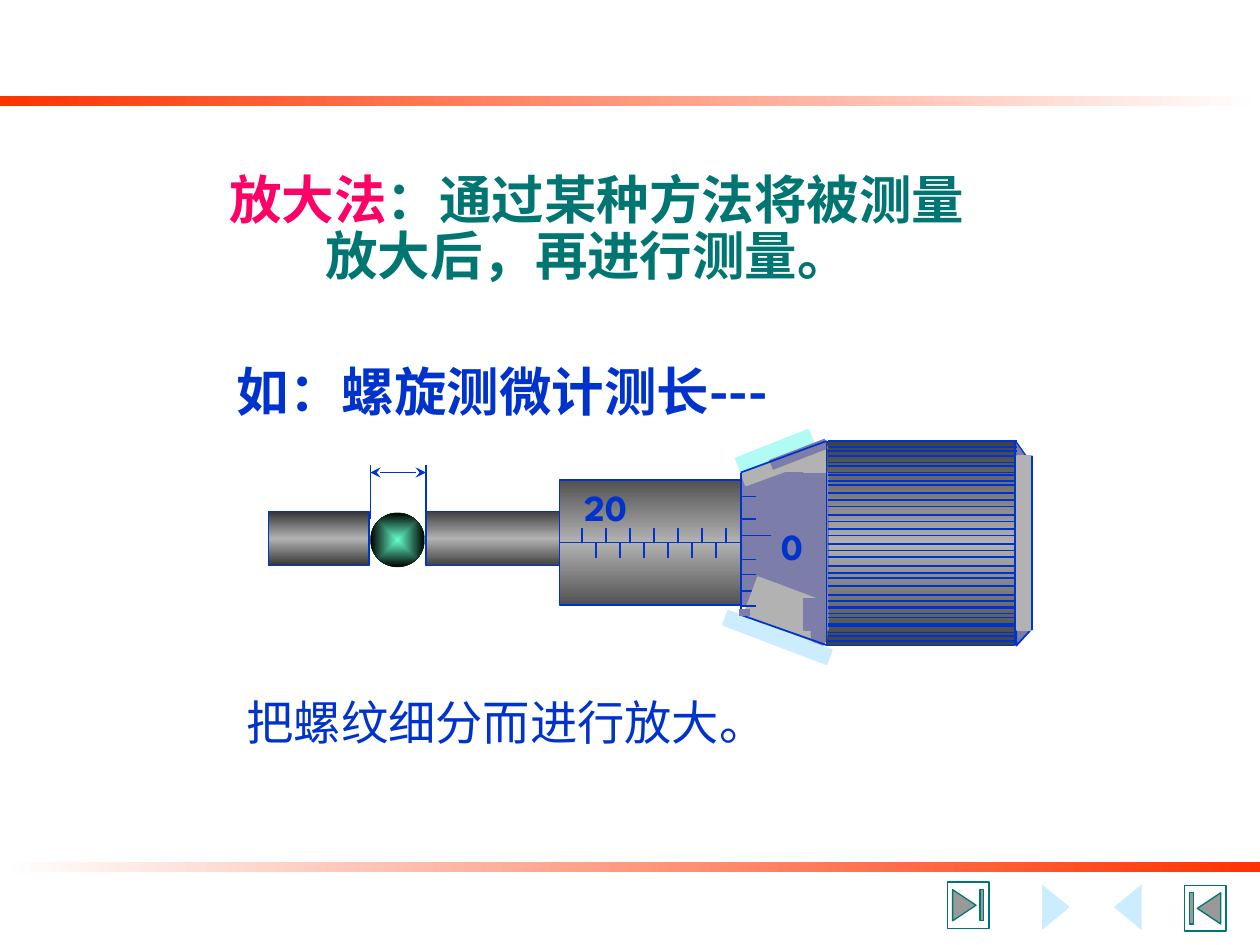
from lxml import etree
from pptx import Presentation
from pptx import util as u
from pptx.dml.color import RGBColor
from pptx.enum import shapes, text
from pptx.oxml import ns

S = shapes.MSO_SHAPE
BLUE = RGBColor(0x00, 0x33, 0xCC)
TEAL = RGBColor(0x00, 0x75, 0x72)
PINK = RGBColor(0xFF, 0x00, 0x66)
RED = RGBColor(0xFF, 0x33, 0x00)
WHITE = RGBColor(0xFF, 0xFF, 0xFF)
BLACK = RGBColor(0x00, 0x00, 0x00)
SKY = RGBColor(0xCC, 0xEC, 0xFF)
AQUA = RGBColor(0xB0, 0xFC, 0xF5)
MINT = RGBColor(0x66, 0xFF, 0xCC)
DEEP_GREEN = RGBColor(0x00, 0x33, 0x00)
GREY = RGBColor(0xB2, 0xB2, 0xB2)
VIOLET = RGBColor(0x7D, 0x7D, 0xA9)
CJK, SPARTAN, DEJAVU = "Noto Sans CJK SC", "League Spartan", "DejaVu Sans"


def steel(shade):
    """Vertical metal sheen: dark edges around a light middle."""
    dark = RGBColor(shade, shade, shade)
    return 90, [(0, dark), (50, GREY), (100, dark)]


# Shapes: kind, left, top, width, height, fill, line colour, line points, rotation
FRAME = [
    (S.ISOSCELES_TRIANGLE, 8.2, 7.09, 0.36, 0.22, SKY, None, 0, 90),
    (S.ISOSCELES_TRIANGLE, 8.77, 7.09, 0.36, 0.22, SKY, None, 0, 270),
    (S.RECTANGLE, 0, 0.76, 10, 0.08, (0, [(0, RED), (100, WHITE)]), None, 0, 0),
    (S.RECTANGLE, 0, 6.84, 10, 0.08, (0, [(0, WHITE), (100, RED)]), None, 0, 0),
    (S.ACTION_BUTTON_END, 7.52, 7, 0.33, 0.37, WHITE, TEAL, 0.75, 0),
    (S.ACTION_BUTTON_BEGINNING, 9.4, 7.03, 0.33, 0.36, WHITE, TEAL, 0.75, 0),
]
BODY = [
    (S.RIGHT_TRIANGLE, 8.06, 3.5, 0.12, 0.17, VIOLET, BLUE, 0.75, 0),
    (S.RECTANGLE, 6.56, 3.5, 1.49, 1.62, steel(0x40), BLUE, 0.25, 0),
    (S.RECTANGLE, 3.38, 4.06, 1.11, 0.43, steel(0x40), BLUE, 1, 0),
    (S.RECTANGLE, 5.88, 3.75, 0.69, 1.06, VIOLET, VIOLET, 1, 0),
]
BARREL = (S.RECTANGLE, 4.44, 3.81, 1.44, 0.99, steel(0x52), BLUE, 1, 0)
BALL_ANVIL_AND_CONE = [
    (S.OVAL, 2.94, 4.07, 0.43, 0.43, (None, [(0, MINT), (100, BLACK)]), DEEP_GREEN, 0.25, 0),
    (S.RECTANGLE, 2.13, 4.06, 0.8, 0.43, steel(0x35), BLUE, 0.75, 0),
    (S.RECTANGLE, 6.38, 3.57, 0.18, 0.18, GREY, GREY, 1, 0),
    (S.RECTANGLE, 6.13, 3.63, 0.24, 0.11, GREY, GREY, 1, 0),
    (S.RECTANGLE, 5.88, 3.63, 0.68, 0.11, GREY, GREY, 1, 340),
    (S.RECTANGLE, 5.94, 4.67, 0.57, 0.33, GREY, GREY, 1, 20.5),
    (S.RECTANGLE, 6.38, 4.75, 0.19, 0.25, VIOLET, VIOLET, 1, 0),
    (S.OVAL, 6.44, 4.94, 0.12, 0.19, VIOLET, VIOLET, 1, 0),
    (S.RIGHT_TRIANGLE, 8.06, 5, 0.13, 0.12, VIOLET, BLUE, 1, 90),
]
CAP_AND_STRIPS = [
    (S.RECTANGLE, 8.07, 3.62, 0.12, 1.38, GREY, GREY, 1, 0),
    (S.RECTANGLE, 5.84, 3.52, 0.62, 0.12, AQUA, AQUA, 1, 338.4),
    (S.RECTANGLE, 5.73, 5, 0.88, 0.12, SKY, SKY, 1, 20.8),
]

# Lines: x1, y1, x2, y2, colour, points
SCALE_Y, TICK, TICK_STEP = 4.31, 0.12, 0.19
UPPER_TICKS, LOWER_TICKS = (4.62, 7), (4.73, 6)
THIMBLE_TICKS = [(4.25, 0.24), (4.12, 0.12), (3.94, 0.12),
                 (4.44, 0.12), (4.56, 0.12), (4.69, 0.12)]
KNURLS = [3.5, 3.55, 3.58, 3.62, 3.67, 3.7, 3.75, 3.77, 3.82, 3.85, 3.91, 3.97,
          4.02, 4.09, 4.14, 4.2, 4.25, 4.32, 4.37, 4.42, 4.49, 4.55, 4.59, 4.65,
          4.72, 4.77, 4.82, 4.83, 4.87, 4.9, 4.95, 4.97, 5.02, 5.05, 5.09]
GAUGE_LINES = [
    (5.88, 3.81, 5.88, 4.88, BLUE, 1),
    (2.94, 4.12, 2.94, 3.69, BLUE, 1),
    (3.38, 4.06, 3.38, 3.69, BLUE, 1),
]
OUTLINES = [
    (8.06, 3.5, 8.06, 5.12, BLUE, 0.75),
    (8.19, 3.62, 8.19, 5, BLUE, 1.5),
    (5.88, 3.75, 5.88, 3.81, BLUE, 1),
    (5.88, 4.88, 6.56, 5.12, BLUE, 1),
    (5.88, 4.81, 6, 4.81, BLUE, 1),
    (5.91, 4.83, 5.91, 4.89, VIOLET, 6),
    (6.12, 3.69, 6.56, 3.52, VIOLET, 6),
    (5.88, 3.75, 6.56, 3.5, BLUE, 1),
    (6.56, 3.5, 6.56, 5.12, BLUE, 1),
]

# Texts: box, margins, font, size, bold, anchor, line spacing, paragraphs (indent, runs)
TOP, BOTTOM = text.MSO_ANCHOR.TOP, text.MSO_ANCHOR.BOTTOM
TEXTS = [
    ((1.75, 1.38, 6.69, 0.94), (0.07, 0.04), CJK, 30, True, BOTTOM, 0.9, [
        (0, [("放大法", PINK), ("：通过某种方法将被测量", TEAL)]),
        (0.76, [("放大后，再进行测量。", TEAL)])]),
    ((1.81, 2.81, 6.38, 0.62), (0.07, 0.04), CJK, 30, True, TOP, 1, [
        (0, [("如：螺旋测微计测长---", BLUE)])]),
    ((4.56, 3.81, 0.62, 0.43), (0.08, 0.04), SPARTAN, 21, True, TOP, 1, [(0, [("20", BLUE)])]),
    ((6.12, 4.12, 0.31, 0.43), (0.08, 0.04), SPARTAN, 21, True, TOP, 1, [(0, [("0", BLUE)])]),
    ((1.86, 5.45, 5.75, 0.55), (0.1, 0.05), DEJAVU, 27, False, TOP, 1, [
        (0, [("把螺纹细分而进行放大。", BLUE)])]),
]


def add_gradient(shape, angle, stops):
    """Linear gradient, or one from the centre when angle is None."""
    shape.fill.gradient()
    gradient = shape.fill._xPr.find(ns.qn("a:gradFill"))
    for child in list(gradient):
        gradient.remove(child)
    stop_list = etree.SubElement(gradient, ns.qn("a:gsLst"))
    for position, color in stops:
        stop = etree.SubElement(stop_list, ns.qn("a:gs"), pos=str(position * 1000))
        etree.SubElement(stop, ns.qn("a:srgbClr"), val=str(color))
    if angle is None:
        center = etree.SubElement(gradient, ns.qn("a:path"), path="shape")
        etree.SubElement(center, ns.qn("a:fillToRect"),
                         {side: "50000" for side in "ltrb"})
    else:
        etree.SubElement(gradient, ns.qn("a:lin"), ang=str(angle * 60000), scaled="0")


def add_block(slide, kind, left, top, width, height, fill, line, points, rotation):
    shape = slide.shapes.add_shape(kind, *map(u.Inches, (left, top, width, height)))
    shape.shadow.inherit = False
    shape.rotation = rotation
    if isinstance(fill, RGBColor):
        shape.fill.solid()
        shape.fill.fore_color.rgb = fill
    else:
        add_gradient(shape, *fill)
    if line is None:
        shape.line.fill.background()
    else:
        shape.line.color.rgb = line
        shape.line.width = u.Pt(points)
    return shape


def add_line(slide, x1, y1, x2, y2, color=BLUE, points=1):
    line = slide.shapes.add_connector(shapes.MSO_CONNECTOR.STRAIGHT,
                                      *map(u.Inches, (x1, y1, x2, y2)))
    line.line.color.rgb = color
    line.line.width = u.Pt(points)
    etree.SubElement(line._element.spPr, ns.qn("a:effectLst"))
    return line


def add_text(slide, box, margins, font, size, bold, anchor, spacing, paragraphs):
    frame = slide.shapes.add_textbox(*map(u.Inches, box)).text_frame
    frame.word_wrap = True
    frame.vertical_anchor = anchor
    frame.margin_left = frame.margin_right = u.Inches(margins[0])
    frame.margin_top = frame.margin_bottom = u.Inches(margins[1])
    for number, (indent, runs) in enumerate(paragraphs):
        paragraph = frame.add_paragraph() if number else frame.paragraphs[0]
        paragraph.line_spacing = spacing
        if indent:
            paragraph._p.get_or_add_pPr().set("marL", str(u.Inches(indent)))
        for words, color in runs:
            run = paragraph.add_run()
            run.text = words
            run.font.size, run.font.bold, run.font.name = u.Pt(size), bold, font
            run.font.color.rgb = color
            etree.SubElement(run._r.get_or_add_rPr(), ns.qn("a:ea"), typeface=font)


def main():
    presentation = Presentation()
    presentation.slide_width, presentation.slide_height = u.Inches(10), u.Inches(7.5)
    slide = presentation.slides.add_slide(presentation.slide_layouts[6])

    # Frame, micrometer body and barrel
    for block in FRAME + BODY:
        add_block(slide, *block)
    barrel = add_block(slide, *BARREL)

    # Barrel scale
    axis = add_line(slide, 4.44, SCALE_Y, 5.88, SCALE_Y)
    axis.begin_connect(barrel, 1)
    axis.end_connect(barrel, 3)
    for (start, count), length in ((UPPER_TICKS, -TICK), (LOWER_TICKS, TICK)):
        for number in range(count):
            x = start + number * TICK_STEP
            add_line(slide, x, SCALE_Y, x, SCALE_Y + length)

    # Thimble scale and measured gap
    for y, length in THIMBLE_TICKS:
        add_line(slide, 5.88, y, 5.88 + length, y)
    for line in GAUGE_LINES:
        add_line(slide, *line)
    gap = add_line(slide, 2.94, 3.75, 3.38, 3.75)
    for end in ("a:headEnd", "a:tailEnd"):
        etree.SubElement(gap.line._get_or_add_ln(), ns.qn(end), type="stealth")

    # Ball, anvil, cone shading, knurled grip and outlines
    for block in BALL_ANVIL_AND_CONE:
        add_block(slide, *block)
    for y in KNURLS:
        add_line(slide, 6.57, y, 8.07, y)
    for block in CAP_AND_STRIPS:
        add_block(slide, *block)
    for line in OUTLINES:
        add_line(slide, *line)

    # Texts
    for item in TEXTS:
        add_text(slide, *item)
    presentation.save("out.pptx")


if __name__ == "__main__":
    main()
